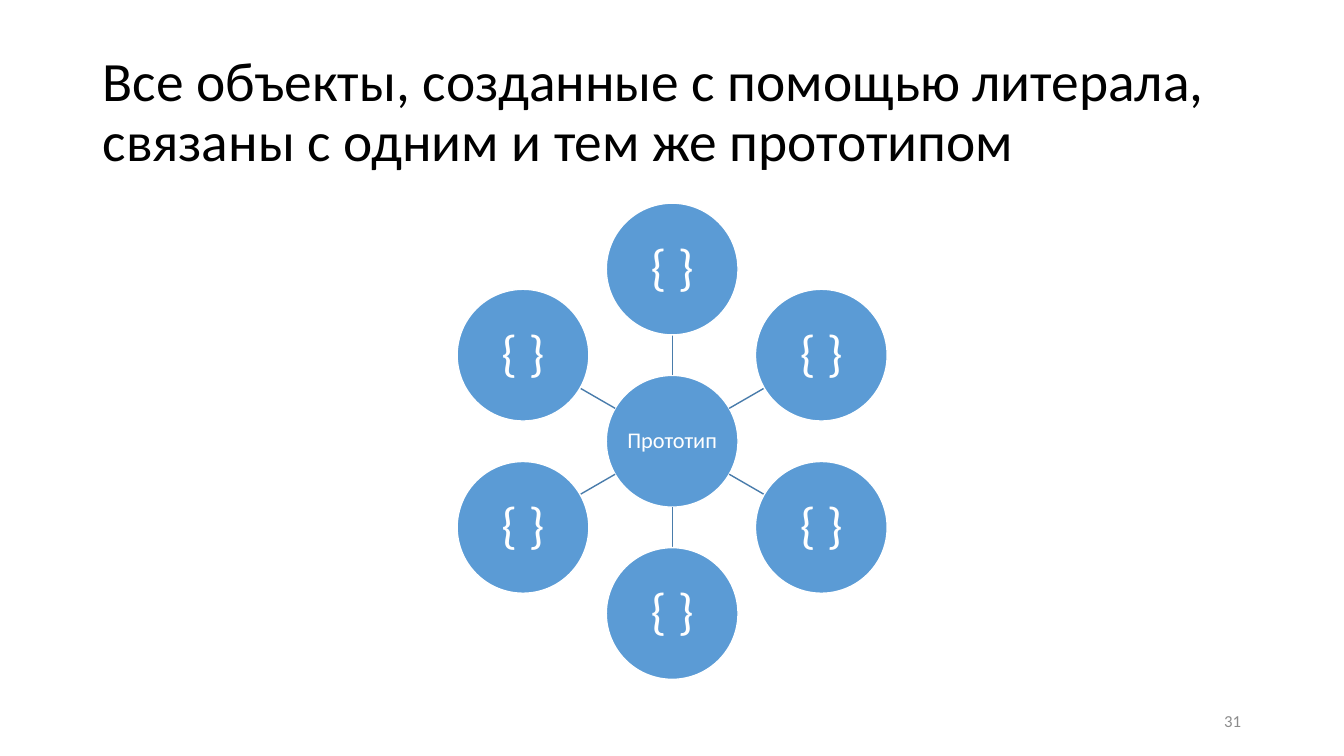
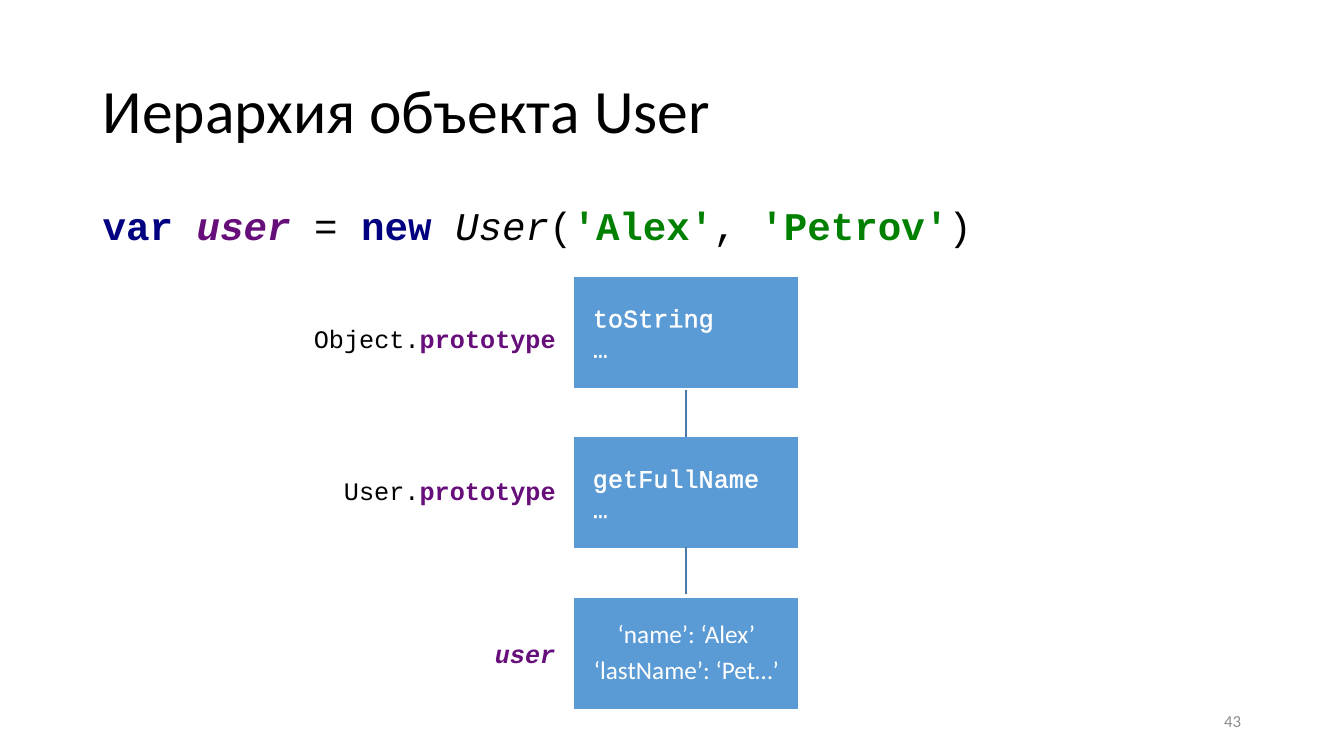
from math import cos, radians, sin

from lxml.etree import SubElement
from pptx import Presentation
from pptx.dml.color import RGBColor
from pptx.enum.shapes import MSO_CONNECTOR, MSO_SHAPE
from pptx.enum.text import MSO_ANCHOR, PP_ALIGN
from pptx.oxml.ns import qn
from pptx.util import Cm, Pt

COLORS = {
    "text": "000000",
    "white": "FFFFFF",
    "node": "5B9BD5",
    "link": "497CAB",
    "keyword": "000080",
    "property": "660E7A",
    "string": "008000",
    "number": "8C8C8C",
}
BODY_FONT = "Calibri"
CODE_FONT = "Courier New"
MARGIN = 2.34
CONTENT_WIDTH = 29.21

# Run formats for highlighted code
KEYWORD = {"color": "keyword", "bold": True}
PROPERTY = {"color": "property", "bold": True}
VARIABLE = {"color": "property", "bold": True, "italic": True}
STRING = {"color": "string", "bold": True}
OUTLINED = {"outline": "white"}


def color(name):
    return RGBColor.from_string(COLORS[name])


def add_run(paragraph, text, size, font=BODY_FONT, color_name="text", **style):
    run = paragraph.add_run()
    run.text = text
    run.font.name = font
    run.font.size = Pt(size)
    run.font.bold = style.get("bold", False)
    run.font.italic = style.get("italic", False)
    run.font.color.rgb = color(style.get("color", color_name))
    if "outline" in style:
        properties = run._r.get_or_add_rPr()
        line = SubElement(properties, qn("a:ln"), w=str(Pt(0.75)))
        fill = SubElement(line, qn("a:solidFill"))
        SubElement(fill, qn("a:srgbClr"), val=COLORS[style["outline"]])
        properties.insert(0, line)


def write_text(shape, paragraphs, align=PP_ALIGN.LEFT, anchor=MSO_ANCHOR.MIDDLE,
               insets=(0.25, 0.13), wrap=True, spacing=1.0, after=0, **run_format):
    """Fill a shape with paragraphs, each a list of (text, style) runs."""
    frame = shape.text_frame
    frame.word_wrap = wrap
    frame.vertical_anchor = anchor
    frame.margin_left = frame.margin_right = Cm(insets[0])
    frame.margin_top = frame.margin_bottom = Cm(insets[1])
    for index, runs in enumerate(paragraphs):
        paragraph = frame.add_paragraph() if index else frame.paragraphs[0]
        paragraph.alignment = align
        paragraph.line_spacing = spacing
        paragraph.space_after = Pt(after)
        for text, style in runs:
            add_run(paragraph, text, **run_format, **style)


def add_text(slide, left, top, width, height, paragraphs, **text_format):
    box = slide.shapes.add_textbox(Cm(left), Cm(top), Cm(width), Cm(height))
    write_text(box, paragraphs, **text_format)


def add_filled_shape(slide, kind, left, top, width, height, fill):
    shape = slide.shapes.add_shape(kind, Cm(left), Cm(top), Cm(width), Cm(height))
    shape.shadow.inherit = False
    shape.fill.solid()
    shape.fill.fore_color.rgb = color(fill)
    return shape


def add_node(slide, kind, left, top, width, height, paragraphs, **text_format):
    node = add_filled_shape(slide, kind, left, top, width, height, "node")
    node.line.color.rgb = color("white")
    node.line.width = Pt(1)
    write_text(node, paragraphs, color_name="white", **text_format)


def add_code_label(slide, right, center_y, runs):
    """Add a white label as wide as its fixed-pitch text."""
    height, character_width, padding = 1.02, 0.38, 0.51
    width = character_width * sum(len(text) for text, style in runs) + padding
    label = add_filled_shape(slide, MSO_SHAPE.RECTANGLE, right - width,
                             center_y - height / 2, width, height, "white")
    label.line.fill.background()
    write_text(label, [runs], size=18, font=CODE_FONT, wrap=False)


def add_link(slide, *ends):
    link = slide.shapes.add_connector(MSO_CONNECTOR.STRAIGHT, *map(Cm, ends))
    link.line.color.rgb = color("link")
    link.line.width = Pt(1)
    SubElement(link._element.spPr, qn("a:effectLst"))


def add_slide(presentation, title, title_size, number):
    slide = presentation.slides.add_slide(presentation.slide_layouts[6])
    add_text(slide, MARGIN, 1.02, CONTENT_WIDTH, 3.68, [[(title, {})]],
             size=title_size, spacing=0.9)
    add_text(slide, 23.91, 17.66, 7.62, 1.02, [[(number, {})]],
             size=12, color_name="number", align=PP_ALIGN.RIGHT)
    return slide


def add_circle(slide, center_x, center_y, diameter, text, size):
    add_node(slide, MSO_SHAPE.OVAL, center_x - diameter / 2, center_y - diameter / 2,
             diameter, diameter, [[(text, {})]], size=size, wrap=False,
             align=PP_ALIGN.CENTER, spacing=0.9, insets=(0.03, 0.03), after=0.35 * size)


def build_literals_slide(presentation):
    slide = add_slide(
        presentation,
        "Все объекты, созданные с помощью литерала, связаны с одним и тем же прототипом",
        39.6, "31")
    center_x, center_y, diameter, orbit = 16.94, 11.12, 3.32, 4.34
    add_circle(slide, center_x, center_y, diameter, "Прототип", 16)

    # Objects evenly spaced around the prototype
    for angle in range(-90, 270, 60):
        dx, dy = cos(radians(angle)), sin(radians(angle))
        inner, outer = diameter / 2, orbit - diameter / 2
        add_link(slide, center_x + inner * dx, center_y + inner * dy,
                 center_x + outer * dx, center_y + outer * dy)
        add_circle(slide, center_x + orbit * dx, center_y + orbit * dy,
                   diameter, "{ }", 36)


def build_hierarchy_slide(presentation):
    slide = add_slide(presentation, "Иерархия объекта User", 44, "43")

    # Code line
    code = [("var ", KEYWORD), ("user ", VARIABLE), ("= ", {}), ("new ", KEYWORD),
            ("User", {"italic": True}), ("(", {}), ("'Alex'", STRING), (", ", {}),
            ("'Petrov'", STRING), (")", {})]
    add_text(slide, MARGIN, 5.08, CONTENT_WIDTH, 12.09, [code], size=28,
             font=CODE_FONT, anchor=MSO_ANCHOR.TOP, spacing=0.9)

    # Prototype chain: label, label centre, box content, box text format
    member_format = {"font": CODE_FONT, "insets": (0.48, 0.13)}
    value_format = {"align": PP_ALIGN.CENTER, "insets": (0.08, 0.08),
                    "spacing": 0.9, "after": 6.3}
    levels = [
        ([("Object.", {}), ("prototype", PROPERTY)], 8.53,
         [[("toString", OUTLINED)], [("…", OUTLINED)]], member_format),
        ([("User.", {}), ("prototype", PROPERTY)], 12.37,
         [[("getFullName", OUTLINED)], [("…", OUTLINED)]], member_format),
        ([("user", VARIABLE)], 16.46,
         [[("‘name’: ‘Alex’", {})], [("‘lastName’: ‘Pet…’", {})]], value_format),
    ]
    left, first_top, width, height, pitch = 14.46, 6.96, 5.68, 2.84, 4.04
    for index, (label, label_center, content, text_format) in enumerate(levels):
        add_node(slide, MSO_SHAPE.RECTANGLE, left, first_top + index * pitch,
                 width, height, content, size=18, wrap=False, **text_format)
        add_code_label(slide, 14.25, label_center, label)

    # Links between the boxes
    middle, link_length = 17.29, 1.18
    for link_top in (9.82, 13.78):
        add_link(slide, middle, link_top, middle, link_top + link_length)


def main():
    presentation = Presentation()
    presentation.slide_width = Cm(33.87)
    presentation.slide_height = Cm(19.05)
    build_literals_slide(presentation)
    build_hierarchy_slide(presentation)
    presentation.save("out.pptx")


if __name__ == "__main__":
    main()
